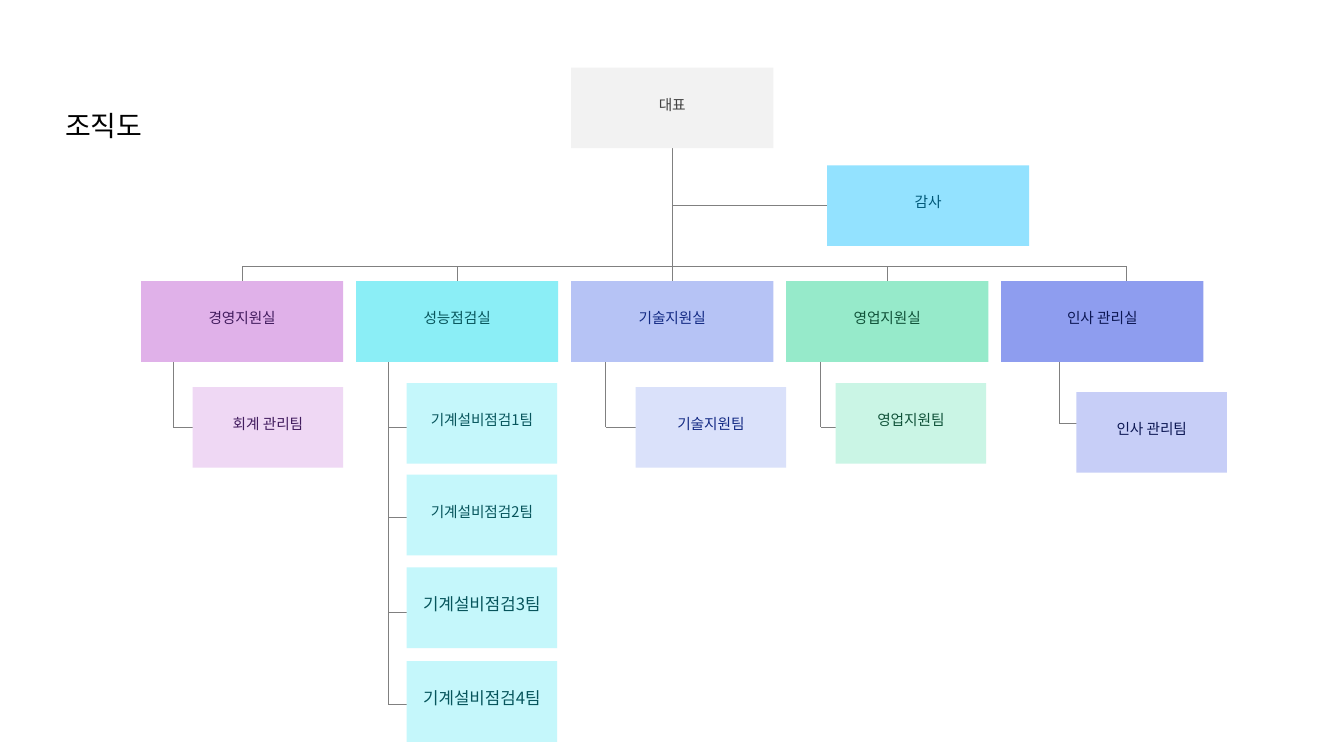
import pptx
import pptx.util
import pptx.dml.color
import pptx.enum.shapes
import pptx.enum.text
import pptx.oxml.ns
import lxml.etree

W, H = 13.33, 7.5
COLUMN, ROW = W * 0.16, H / 75
MARGIN = W * 0.105
WIDE, NARROW, TALL = 0.94, 0.7, 8
CENTRE = WIDE / 2
BUS_ROW, OFFICE_ROW = 26.4, 27.9
FONT = "Noto Sans CJK KR"

COLORS = {
    "title": "000000", "line": "808080",
    "ceo": "F2F2F2", "ceo_ink": "404040",
    "audit": "93E2FF", "audit_ink": "005878",
    "admin": "E0B1E9", "admin_team": "EFD8F4", "admin_ink": "421C5E",
    "check": "8BEEF6", "check_team": "C5F7FB", "check_ink": "07555C",
    "tech": "B6C3F5", "tech_team": "DAE1FA", "tech_ink": "132A84",
    "sales": "96EACA", "sales_team": "CAF5E5", "sales_ink": "105239",
    "people": "8E9DEF", "people_team": "C7CEF7", "people_ink": "0C1753",
}

# key, name, drop, trunk and team columns, then (team, row, joint row, size)
OFFICES = [
    ("admin", "경영지원실", CENTRE, 0.15, 0.24, [("회계 관리팀", 38.4, 42.4, 10.5)]),
    ("check", "성능점검실", CENTRE, 0.15, 0.235, [
        ("기계설비점검1팀", 38, 42.4, 10.5),
        ("기계설비점검2팀", 47.1, 51.3, 10.5),
        ("기계설비점검3팀", 56.3, 60.8, 12),
        ("기계설비점검4팀", 65.6, 69.9, 12),
    ]),
    ("tech", "기술지원실", CENTRE, 0.16, 0.3, [("기술지원팀", 38.4, 42.4, 10.5)]),
    ("sales", "영업지원실", CENTRE, 0.16, 0.23, [("영업지원팀", 38, 42.4, 10.5)]),
    ("people", "인사 관리실", 0.58, 0.27, 0.35, [("인사 관리팀", 38.9, 42, 10.5)]),
]


def x(col):
    return pptx.util.Inches(MARGIN + col * COLUMN)


def y(row):
    return pptx.util.Inches(row * ROW)


def width(cols):
    return pptx.util.Inches(cols * COLUMN)


def color(key):
    return pptx.dml.color.RGBColor.from_string(COLORS[key])


def write(tf, text, size, ink, align, spacing):
    tf.word_wrap = True
    tf.vertical_anchor = pptx.enum.text.MSO_ANCHOR.MIDDLE
    p = tf.paragraphs[0]
    p.alignment = align
    p.line_spacing = spacing
    p.space_before = pptx.util.Pt(0)
    r = p.add_run()
    r.text = text
    r.font.size = pptx.util.Pt(size)
    r.font.name = FONT
    r.font.color.rgb = color(ink)
    ea = lxml.etree.SubElement(r.font._element, pptx.oxml.ns.qn("a:ea"))
    ea.set("typeface", FONT)


def add_title(s, text):
    sp = s.shapes.title
    sp.left, sp.top = x(-0.4), y(10.7)
    sp.width, sp.height = width(1.84), y(4)
    write(sp.text_frame, text, 20, "title", pptx.enum.text.PP_ALIGN.LEFT, 0.8)


def add_box(s, col, row, cols, text, fill, ink, size=10.5):
    sp = s.shapes.add_shape(pptx.enum.shapes.MSO_SHAPE.RECTANGLE,
                            x(col), y(row), width(cols), y(TALL))
    sp.shadow.inherit = False
    sp.fill.solid()
    sp.fill.fore_color.rgb = color(fill)
    sp.line.fill.background()
    tf = sp.text_frame
    tf.margin_left = tf.margin_right = tf.margin_top = pptx.util.Inches(0.01)
    tf.margin_bottom = pptx.util.Inches(0.06)
    write(tf, text, size, ink, pptx.enum.text.PP_ALIGN.CENTER, 0.9)


def add_line(s, col1, row1, col2, row2):
    sp = s.shapes.add_connector(pptx.enum.shapes.MSO_CONNECTOR.STRAIGHT,
                                x(col1), y(row1), x(col2), y(row2))
    sp.line.color.rgb = color("line")
    sp.line.width = pptx.util.Pt(0.5)
    lxml.etree.SubElement(sp._element.spPr, pptx.oxml.ns.qn("a:effectLst"))


def add_office(s, col, key, name, drop, trunk, team_col, teams):
    add_line(s, col + drop, BUS_ROW, col + drop, OFFICE_ROW)
    add_line(s, col + trunk, OFFICE_ROW + TALL, col + trunk, teams[-1][2])
    add_box(s, col, OFFICE_ROW, WIDE, name, key, key + "_ink")
    for team, row, joint, size in teams:
        add_line(s, col + trunk, joint, col + team_col, joint)
        add_box(s, col + team_col, row, NARROW, team, key + "_team", key + "_ink", size)


def main():
    prs = pptx.Presentation()
    prs.slide_width = pptx.util.Inches(W)
    prs.slide_height = pptx.util.Inches(H)
    s = prs.slides.add_slide(prs.slide_layouts[5])
    add_title(s, "조직도")

    ceo_col, ceo_row = 2, 6.7
    audit_col, audit_row = 3.19, 16.4
    stem, last = ceo_col + CENTRE, len(OFFICES) - 1
    add_line(s, stem, ceo_row + TALL, stem, BUS_ROW)
    add_line(s, stem, audit_row + TALL / 2, audit_col, audit_row + TALL / 2)
    add_line(s, OFFICES[0][2], BUS_ROW, last + OFFICES[last][2], BUS_ROW)
    add_box(s, ceo_col, ceo_row, WIDE, "대표", "ceo", "ceo_ink")
    add_box(s, audit_col, audit_row, WIDE, "감사", "audit", "audit_ink")
    for col, office in enumerate(OFFICES):
        add_office(s, col, *office)

    prs.save("out.pptx")


if __name__ == "__main__":
    main()
